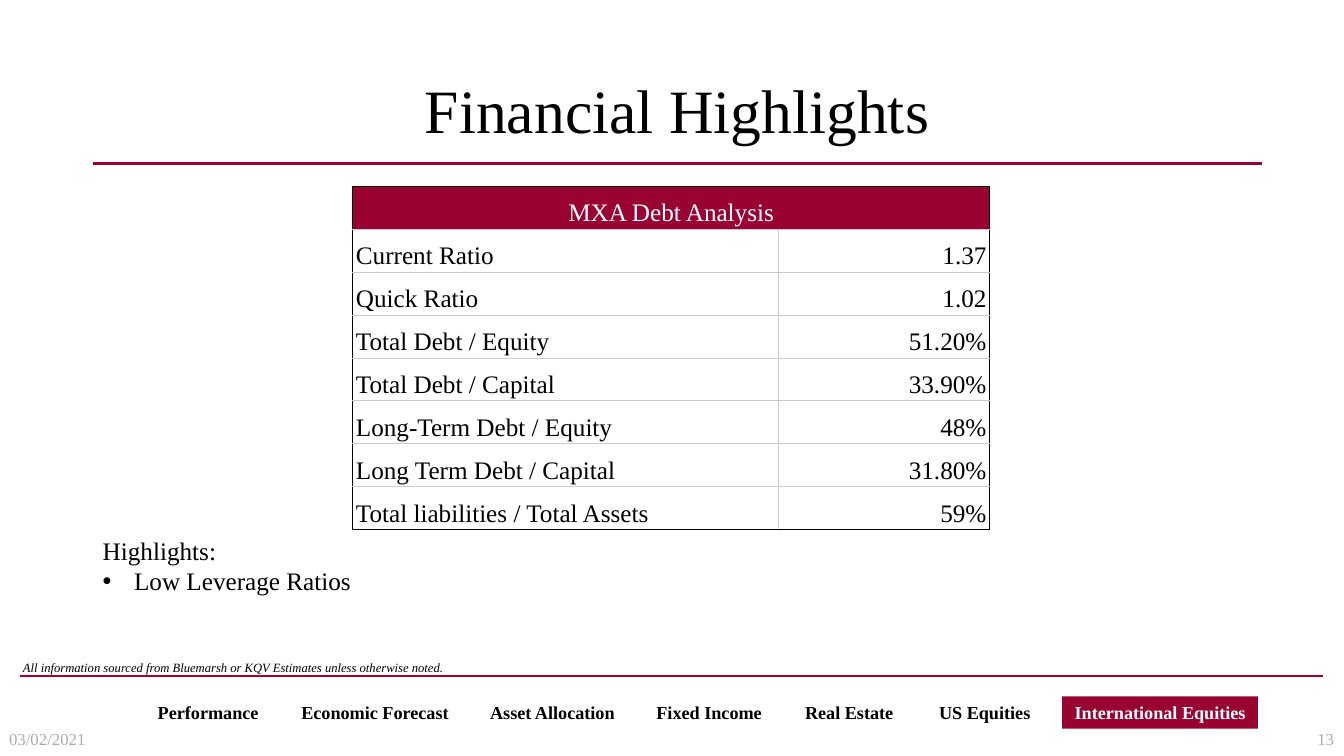
from lxml import etree
from pptx import Presentation
from pptx.dml.color import RGBColor
from pptx.enum.shapes import MSO_CONNECTOR, MSO_SHAPE
from pptx.enum.text import MSO_ANCHOR, PP_ALIGN
from pptx.oxml.ns import qn
from pptx.util import Cm, Pt

LEFT, CENTER, RIGHT = PP_ALIGN.LEFT, PP_ALIGN.CENTER, PP_ALIGN.RIGHT
TOP, MIDDLE, BOTTOM = MSO_ANCHOR.TOP, MSO_ANCHOR.MIDDLE, MSO_ANCHOR.BOTTOM
STRAIGHT, RECTANGLE = MSO_CONNECTOR.STRAIGHT, MSO_SHAPE.RECTANGLE

BLACK = RGBColor(0x00, 0x00, 0x00)
WHITE = RGBColor(0xFF, 0xFF, 0xFF)
GRAY = RGBColor(0xAF, 0xAB, 0xAB)
GRID = RGBColor(0xCC, 0xCC, 0xCC)
MAROON = RGBColor(0x9A, 0x03, 0x31)
CRIMSON = RGBColor(0xA9, 0x00, 0x2E)
TAB_RED = RGBColor(0x99, 0x03, 0x31)

DEBT_RATIOS = [
    ("Current Ratio", "1.37"),
    ("Quick Ratio", "1.02"),
    ("Total Debt / Equity", "51.20%"),
    ("Total Debt / Capital", "33.90%"),
    ("Long-Term Debt / Equity", "48%"),
    ("Long Term Debt / Capital", "31.80%"),
    ("Total liabilities / Total Assets", "59%"),
]

# Label, width in cm and fill of each navigation tab
TABS = [
    ("Performance", 3.23, None),
    ("Economic Forecast", 4.34, None),
    ("Asset Allocation", 3.76, WHITE),
    ("Fixed Income", 3.3, None),
    ("Real Estate", 2.92, None),
    ("US Equities", 3.07, WHITE),
    ("International Equities", 4.93, TAB_RED),
]
TAB_LEFT, TAB_TOP, TAB_HEIGHT, TAB_GAP = 3.63, 17.55, 0.81, 0.42


class SlideBuilder:
    font_name = "Times New Roman"

    def __init__(self, slide):
        self.slide = slide
        self.shapes = slide.shapes

    def format_text(self, text_frame, size, color=BLACK, align=LEFT, bold=False):
        for paragraph in text_frame.paragraphs:
            paragraph.alignment = align
            for run in paragraph.runs:
                run.font.name = self.font_name
                run.font.size = Pt(size)
                run.font.color.rgb = color
                run.font.bold = bold

    def title(self, text, left, top, width, height):
        shape = self.shapes.title
        shape.left, shape.top = Cm(left), Cm(top)
        shape.width, shape.height = Cm(width), Cm(height)
        text_frame = shape.text_frame
        text_frame.text = text
        text_frame.vertical_anchor = MIDDLE
        text_frame.paragraphs[0].line_spacing = 0.9
        self.format_text(text_frame, 44, align=CENTER)

    def rule(self, left, right, y, color):
        line = self.shapes.add_connector(STRAIGHT, Cm(left), Cm(y), Cm(right), Cm(y))
        line.line.color.rgb = color
        line.line.width = Pt(1.5)
        etree.SubElement(line._element.spPr, qn("a:effectLst"))

    def text(self, text, left, top, width, height, size, color=BLACK,
             align=LEFT, anchor=TOP):
        box = self.shapes.add_textbox(Cm(left), Cm(top), Cm(width), Cm(height))
        text_frame = box.text_frame
        text_frame.word_wrap = True
        text_frame.vertical_anchor = anchor
        text_frame.text = text
        self.format_text(text_frame, size, color, align)
        return text_frame

    def bullet(self, paragraph, indent):
        properties = paragraph._p.get_or_add_pPr()
        properties.set("marL", str(Cm(indent)))
        properties.set("indent", str(-Cm(indent)))
        etree.SubElement(properties, qn("a:buFont"), typeface="Arial")
        etree.SubElement(properties, qn("a:buChar"), char="•")

    def tab(self, label, left, width, fill):
        place = Cm(left), Cm(TAB_TOP), Cm(width), Cm(TAB_HEIGHT)
        if fill is None:
            shape = self.shapes.add_textbox(*place)
        else:
            shape = self.shapes.add_shape(RECTANGLE, *place)
            shape.shadow.inherit = False
            shape.fill.solid()
            shape.fill.fore_color.rgb = fill
            shape.line.fill.background()
        text_frame = shape.text_frame
        text_frame.word_wrap = False
        text_frame.vertical_anchor = TOP
        text_frame.text = label
        color = WHITE if fill == TAB_RED else BLACK
        self.format_text(text_frame, 13, color, CENTER, bold=True)

    def borders(self, cell, **colors):
        properties = cell._tc.get_or_add_tcPr()
        for side in "LRTB":
            line = etree.SubElement(properties, qn(f"a:ln{side}"), w=str(Pt(0.75)))
            fill = etree.SubElement(line, qn("a:solidFill"))
            etree.SubElement(fill, qn("a:srgbClr"), val=str(colors[side]))

    def table(self, heading, rows, left, top, widths, row_height):
        row_count = len(rows) + 1
        table = self.shapes.add_table(
            row_count, len(widths), Cm(left), Cm(top),
            Cm(sum(widths)), Cm(row_height * row_count)).table
        table.first_row = table.horz_banding = False
        for column, width in zip(table.columns, widths):
            column.width = Cm(width)

        for row_index, values in enumerate([(heading, ""), *rows]):
            table.rows[row_index].height = Cm(row_height)
            is_heading = row_index == 0
            for column_index, value in enumerate(values):
                cell = table.cell(row_index, column_index)
                cell.margin_left = cell.margin_right = Cm(0.08)
                cell.margin_top = cell.margin_bottom = Cm(0.05)
                cell.vertical_anchor = BOTTOM
                cell.text = value
                align = CENTER if is_heading else (LEFT, RIGHT)[column_index]
                color = WHITE if is_heading else BLACK
                self.format_text(cell.text_frame, 18, color, align)
                self.borders(
                    cell,
                    L=BLACK if is_heading or column_index == 0 else GRID,
                    R=BLACK if is_heading or column_index == 1 else GRID,
                    T=BLACK if is_heading else GRID,
                    B=BLACK if row_index == len(rows) else GRID)
                if is_heading:
                    cell.fill.solid()
                    cell.fill.fore_color.rgb = MAROON
                else:
                    cell.fill.background()
        table.cell(0, 0).merge(table.cell(0, len(widths) - 1))


def main():
    presentation = Presentation()
    presentation.slide_width, presentation.slide_height = Cm(33.87), Cm(19.05)
    title_only = presentation.slide_layouts[5]
    builder = SlideBuilder(presentation.slides.add_slide(title_only))

    # Title and rules
    builder.title("Financial Highlights", 2.34, 1.02, 29.46, 3.68)
    builder.rule(2.34, 31.8, 4.12, MAROON)
    builder.rule(0.5, 33.35, 17.04, CRIMSON)

    # Source note, with an upright full stop
    source = builder.text(
        "All information sourced from Bluemarsh or KQV Estimates unless otherwise noted",
        0.33, 16.51, 11.18, 0.64, 9)
    source.paragraphs[0].runs[0].font.italic = True
    source.paragraphs[0].add_run().text = "."
    builder.format_text(source, 9)

    # Navigation tabs
    left = TAB_LEFT
    for label, width, fill in TABS:
        builder.tab(label, left, width, fill)
        left += width + TAB_GAP

    # Date and slide number
    builder.text("03/02/2021", -0.02, 18.21, 2.69, 0.81, 12, GRAY, anchor=MIDDLE)
    builder.text("13", 32.86, 18.21, 1.01, 0.81, 12, GRAY, RIGHT, MIDDLE)

    # Highlights
    highlights = builder.text(
        "Highlights:\nLow Leverage Ratios", 2.34, 13.36, 13.87, 1.8, 18)
    builder.bullet(highlights.paragraphs[1], 0.79)

    # Debt table
    builder.table("MXA Debt Analysis", DEBT_RATIOS, 8.89, 4.7, (10.72, 5.33), 1.08)

    presentation.save("out.pptx")


if __name__ == "__main__":
    main()
